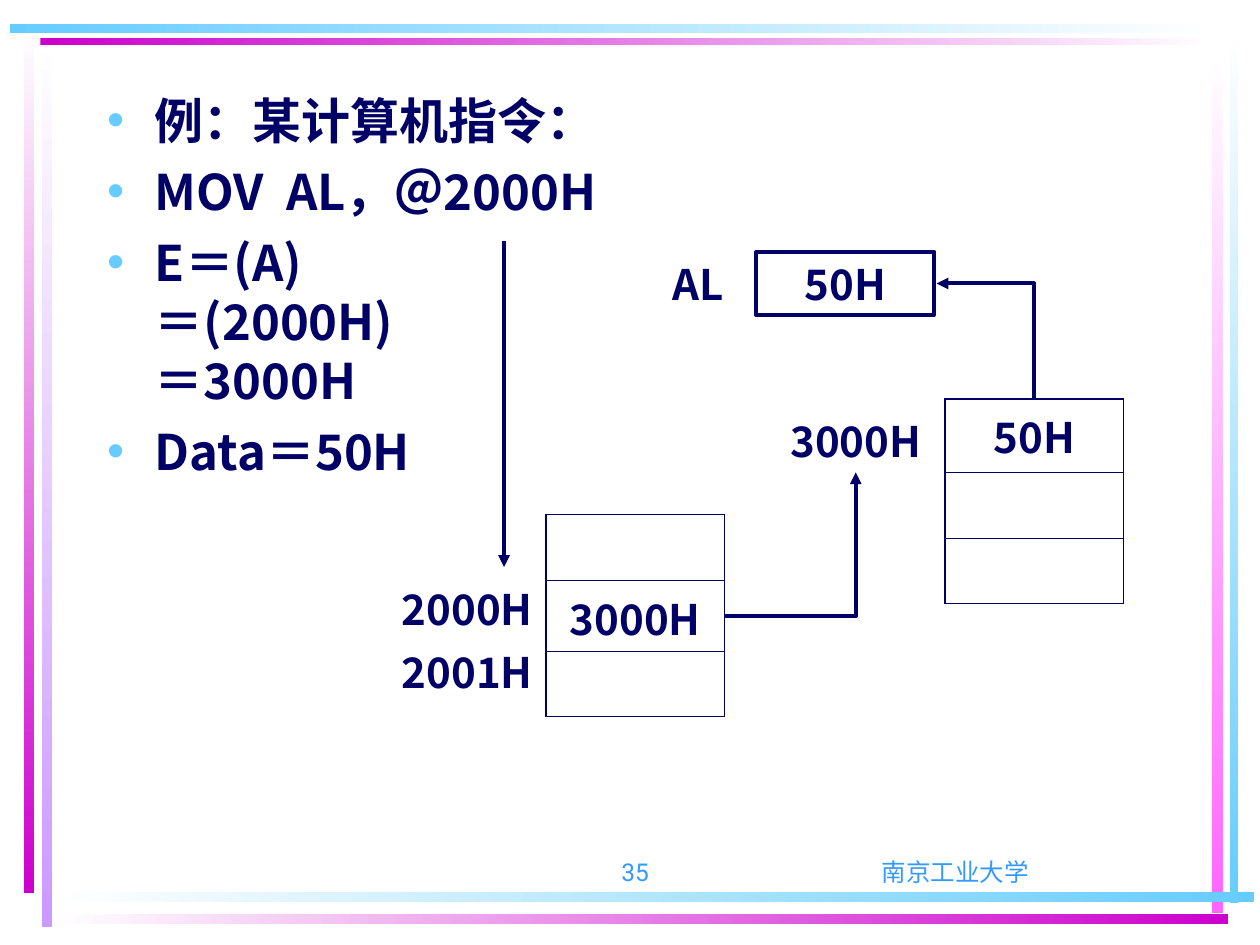
import pptx
import pptx.util
import pptx.dml.color
import pptx.enum.text
import pptx.enum.shapes
import pptx.oxml
import pptx.oxml.ns
from lxml import etree

NAVY, SKY, MAGENTA, WHITE = "000066", "66CCFF", "CC00CC", "FFFFFF"
HEAVY, LIGHT = 1.08, 0.45
UNITS_PER_INCH = 12
CENTER = pptx.enum.text.PP_ALIGN.CENTER
RIGHT = pptx.enum.text.PP_ALIGN.RIGHT
TOP = pptx.enum.text.MSO_ANCHOR.TOP
MIDDLE = pptx.enum.text.MSO_ANCHOR.MIDDLE
BOTTOM = pptx.enum.text.MSO_ANCHOR.BOTTOM

VERTICAL, HORIZONTAL = 270, 0
FRAME_BARS = [
    (0.33, 0.28, 0.08, 7.08, VERTICAL, WHITE, "CC99FF"),
    (0.19, 0.25, 0.08, 6.84, VERTICAL, WHITE, MAGENTA),
    (9.76, 0.24, 0.07, 6.93, VERTICAL, WHITE, SKY),
    (9.62, 0.42, 0.09, 6.83, VERTICAL, WHITE, "FF66FF"),
    (0.45, 7.08, 9.5, 0.08, HORIZONTAL, WHITE, SKY),
    (0.45, 7.25, 9.3, 0.08, HORIZONTAL, WHITE, MAGENTA),
    (0.32, 0.3, 9.32, 0.06, HORIZONTAL, MAGENTA, WHITE),
    (0.08, 0.19, 9.56, 0.07, HORIZONTAL, SKY, WHITE),
]
BODY_BOX = (9, 8, 102, 70)
BODY_LINES = ["例：某计算机指令：", "MOV  AL，＠2000H",
              "E＝(A)\v＝(2000H)\v＝3000H", "Data＝50H"]
FOOTERS = [("南京工业大学", (70, 79, 42, 6), CENTER),
           ("35", (38, 79, 25, 6), RIGHT)]
LABELS = [("2000H", (38, 55, 13, 6)), ("2001H", (38, 61, 13, 6)),
          ("3000H", (75, 39, 13, 6)), ("AL", (64, 24, 5, 10.8))]
REGISTER = ("50H", (72, 24, 17, 6))
MEMORY_WIDTH = 17
MEMORIES = [
    ((52, 49), [("", 6.25), ("3000H", 6.75), ("", 6.25)]),
    ((90, 38), [("50H", 7), ("", 6.25), ("", 6.25)]),
]
ARROWS = [
    ((48, 23), (48, 54), "straight", "tailEnd"),
    ((69, 58.7), (81.5, 45), "bent", "tailEnd"),
    ((89.2, 27), (98.5, 38), "bent", "headEnd"),
]


def color(value):
    return pptx.dml.color.RGBColor.from_string(value)


def units(values):
    return [pptx.util.Inches(value / UNITS_PER_INCH) for value in values]


def add_element(parent, tag, **attributes):
    return etree.SubElement(parent, pptx.oxml.ns.qn(tag), attributes)


def style_paragraph(paragraph, size, font="Noto Sans CJK SC", value=NAVY, bold=True):
    paragraph.font.size = pptx.util.Pt(size)
    paragraph.font.bold = bold
    paragraph.font.color.rgb = color(value)
    paragraph.font.name = font
    add_element(paragraph.font._element, "a:ea", typeface=font)


def fill_text(frame, text, size, alignment, anchor=TOP, inset=0.1, **style):
    frame.text = text
    frame.word_wrap = True
    frame.vertical_anchor = anchor
    frame.margin_left = frame.margin_right = pptx.util.Inches(inset)
    paragraph = frame.paragraphs[0]
    paragraph.alignment = alignment
    style_paragraph(paragraph, size, **style)
    return paragraph


def add_bar(slide, left, top, width, height, angle, first, last):
    box = [pptx.util.Inches(value) for value in (left, top, width, height)]
    bar = slide.shapes.add_shape(pptx.enum.shapes.MSO_SHAPE.RECTANGLE, *box)
    bar.shadow.inherit = False
    bar.line.fill.background()
    bar.fill.gradient()
    bar.fill.gradient_angle = angle
    for stop, value, position in zip(bar.fill.gradient_stops, (first, last), (0, 1)):
        stop.color.rgb = color(value)
        stop.position = position


def add_body(slide):
    slide.shapes.title.element.getparent().remove(slide.shapes.title.element)
    body = slide.placeholders[1]
    body.left, body.top, body.width, body.height = units(BODY_BOX)
    body.text_frame.text = "\n".join(BODY_LINES)
    for paragraph in body.text_frame.paragraphs:
        style_paragraph(paragraph, 28)
        paragraph.space_before = pptx.util.Pt(7)
        properties = paragraph._p.get_or_add_pPr()
        indent = pptx.util.Inches(0.38)
        properties.set("marL", str(indent))
        properties.set("indent", str(-indent))
        bullet_color = pptx.oxml.parse_xml(
            f'<a:buClr {pptx.oxml.ns.nsdecls("a")}><a:srgbClr val="{SKY}"/></a:buClr>')
        bullet = etree.Element(pptx.oxml.ns.qn("a:buChar"), {"char": "•"})
        default = properties.find(pptx.oxml.ns.qn("a:defRPr"))
        default.addprevious(bullet_color)
        default.addprevious(bullet)


def set_borders(cell, top, bottom):
    properties = cell._tc.get_or_add_tcPr()
    sides = [("a:lnL", HEAVY), ("a:lnR", HEAVY), ("a:lnT", top), ("a:lnB", bottom)]
    for index, (tag, width) in enumerate(sides):
        border = etree.Element(pptx.oxml.ns.qn(tag), {"w": str(pptx.util.Pt(width))})
        add_element(add_element(border, "a:solidFill"), "a:srgbClr", val=NAVY)
        properties.insert(index, border)


def add_memory(slide, corner, rows):
    box = units((*corner, MEMORY_WIDTH, sum(height for _, height in rows)))
    table = slide.shapes.add_table(len(rows), 1, *box).table
    table.first_row = table.horz_banding = False
    for index, (text, height) in enumerate(rows):
        table.rows[index].height = units([height])[0]
        cell = table.cell(index, 0)
        cell.fill.background()
        if text:
            paragraph = fill_text(cell.text_frame, text, 24, CENTER)
            paragraph.space_before = pptx.util.Pt(6)
        set_borders(cell, HEAVY if index == 0 else LIGHT,
                    HEAVY if index == len(rows) - 1 else LIGHT)


def add_arrow(slide, start, end, kind, arrow_end):
    connector_type = pptx.enum.shapes.MSO_CONNECTOR
    shape_type = connector_type.ELBOW if kind == "bent" else connector_type.STRAIGHT
    arrow = slide.shapes.add_connector(shape_type, *units((*start, *end)))
    arrow.line.color.rgb = color(NAVY)
    arrow.line.width = pptx.util.Pt(2.25)
    properties = arrow._element.spPr
    if kind == "bent":
        properties.find(pptx.oxml.ns.qn("a:prstGeom")).set("prst", "bentConnector2")
    add_element(arrow.line._get_or_add_ln(), f"a:{arrow_end}", type="triangle")
    add_element(properties, "a:effectLst")


def main():
    presentation = pptx.Presentation()
    presentation.slide_width = pptx.util.Inches(10)
    presentation.slide_height = pptx.util.Inches(7.5)
    slide = presentation.slides.add_slide(presentation.slide_layouts[1])
    for bar in FRAME_BARS:
        add_bar(slide, *bar)
    for text, box, alignment in FOOTERS:
        footer = slide.shapes.add_textbox(*units(box))
        fill_text(footer.text_frame, text, 14, alignment, BOTTOM,
                  font="Roboto", value="3399FF", bold=False)
    add_body(slide)
    for corner, rows in MEMORIES:
        add_memory(slide, corner, rows)
    for text, box in LABELS:
        label = slide.shapes.add_textbox(*units(box))
        fill_text(label.text_frame, text, 24, CENTER, inset=0)
    text, box = REGISTER
    register = slide.shapes.add_shape(pptx.enum.shapes.MSO_SHAPE.RECTANGLE, *units(box))
    register.shadow.inherit = False
    register.fill.background()
    register.line.color.rgb = color(NAVY)
    register.line.width = pptx.util.Pt(2.25)
    fill_text(register.text_frame, text, 24, CENTER, MIDDLE)
    for arrow in ARROWS:
        add_arrow(slide, *arrow)
    presentation.save("out.pptx")


if __name__ == "__main__":
    main()
